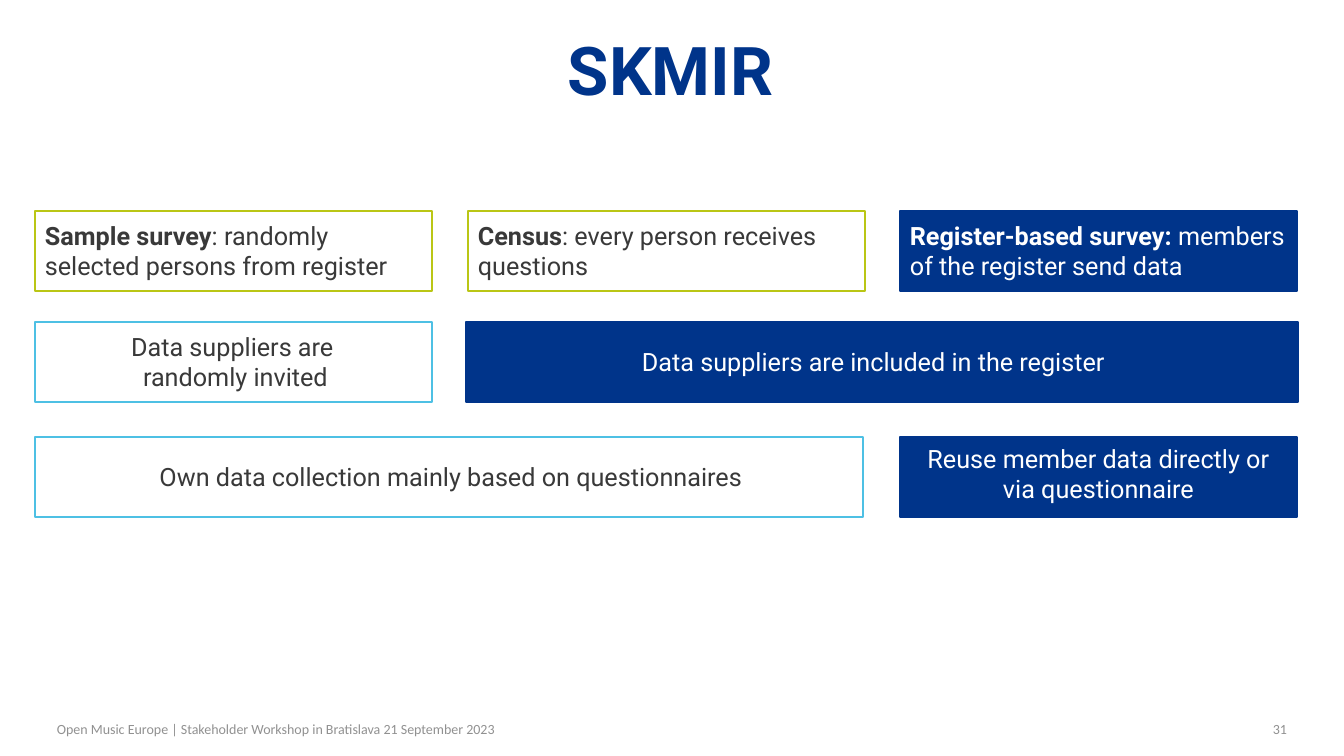
from pptx import Presentation
from pptx.dml.color import RGBColor
from pptx.enum.shapes import MSO_SHAPE
from pptx.enum.text import MSO_ANCHOR as ANCHOR, MSO_AUTO_SIZE as AUTO, PP_ALIGN as ALIGN
from pptx.util import Pt

PX = 914400 / 100.8
COLORS = {"navy": "00348A", "lime": "BAC615", "sky": "4EC0E4",
          "white": "FFFFFF", "dark": "393939", "gray": "919191"}


def rgb(name):
    return RGBColor.from_string(COLORS[name])


def add_text(box, runs, size, color, align=ALIGN.LEFT, font="Roboto", anchor=ANCHOR.TOP):
    """Add a text box at box (px) from (text, bold) runs; return its text frame."""
    tf = s.shapes.add_textbox(*(round(v * PX) for v in box)).text_frame
    tf.word_wrap = True
    tf.vertical_anchor = anchor
    p = tf.paragraphs[0]
    p.alignment = align
    p.font.name, p.font.size = font, Pt(size)
    p.font.color.rgb = rgb(color)
    for i, (text, bold) in enumerate(runs):
        lines = text.split("\n")
        for j, line in enumerate(lines):
            if j:
                p.add_line_break()
            r = p.add_run()
            r.text = line
            r.font.bold = bold
    return tf


prs = Presentation()
prs.slide_width, prs.slide_height = round(1344 * PX), round(756 * PX)
s = prs.slides.add_slide(prs.slide_layouts[6])

title = add_text((20, 29, 1301, 89), [("SKMIR", True)], 48, "navy", ALIGN.CENTER,
                 anchor=ANCHOR.MIDDLE)
title.margin_top = title.margin_bottom = 0
title.paragraphs[0].line_spacing = 0.9

# Boxes: (left, top, width), line colour, filled, text frame (left, top, width, height), runs
CARD_W, CARD_H = 397, 80
COL1, COL2, COL3 = 35, 468, 900
ROW1, ROW2, ROW3 = 211, 322, 437
cards = [
    ((COL1, ROW1, CARD_W), "lime", False, (COL1, 215, CARD_W, 72),
     [("Sample survey", True), (": randomly selected persons from register", False)]),
    ((COL2, ROW1, CARD_W), "lime", False, (COL2, 215, CARD_W, 72),
     [("Census", True), (": every person receives questions", False)]),
    ((COL3, ROW1, CARD_W), "navy", True, (COL3, 215, CARD_W, 72),
     [("Register-based survey: ", True), ("members of the register send data", False)]),
    ((COL1, ROW2, CARD_W), "sky", False, (37, 326, CARD_W, 72),
     [("Data suppliers are \nrandomly invited", False)]),
    ((466, ROW2, 832), "navy", True, (COL2, 341, 811, 40),
     [("Data suppliers are included in the register", False)]),
    ((COL1, ROW3, 828), "sky", False, (37, 456, 828, 40),
     [("Own data collection mainly based on questionnaires", False)]),
    ((COL3, ROW3, CARD_W), "navy", True, (COL3, 438, CARD_W, 72),
     [("Reuse member data directly or via questionnaire", False)]),
]
for (left, top, width), line, filled, text_box, runs in cards:
    sp = s.shapes.add_shape(MSO_SHAPE.RECTANGLE,
                            *(round(v * PX) for v in (left, top, width, CARD_H)))
    sp.shadow.inherit = False
    sp.fill.solid()
    sp.fill.fore_color.rgb = rgb("navy" if filled else "white")
    sp.line.color.rgb = rgb(line)
    sp.line.width = Pt(1)
    tf = add_text(text_box, runs, 18, "white" if filled else "dark",
                  ALIGN.LEFT if top == ROW1 else ALIGN.CENTER)
    tf.auto_size = AUTO.SHAPE_TO_FIT_TEXT

footer = "Open Music Europe | Stakeholder Workshop in Bratislava 21 September 2023"
add_text((47, 716, 1250, 25), [(footer, False)], 10, "gray", font="Calibri",
         anchor=ANCHOR.MIDDLE)
add_text((1222, 716, 75, 25), [("31", False)], 10, "gray", ALIGN.RIGHT, "Calibri",
         ANCHOR.MIDDLE)

prs.save("out.pptx")
